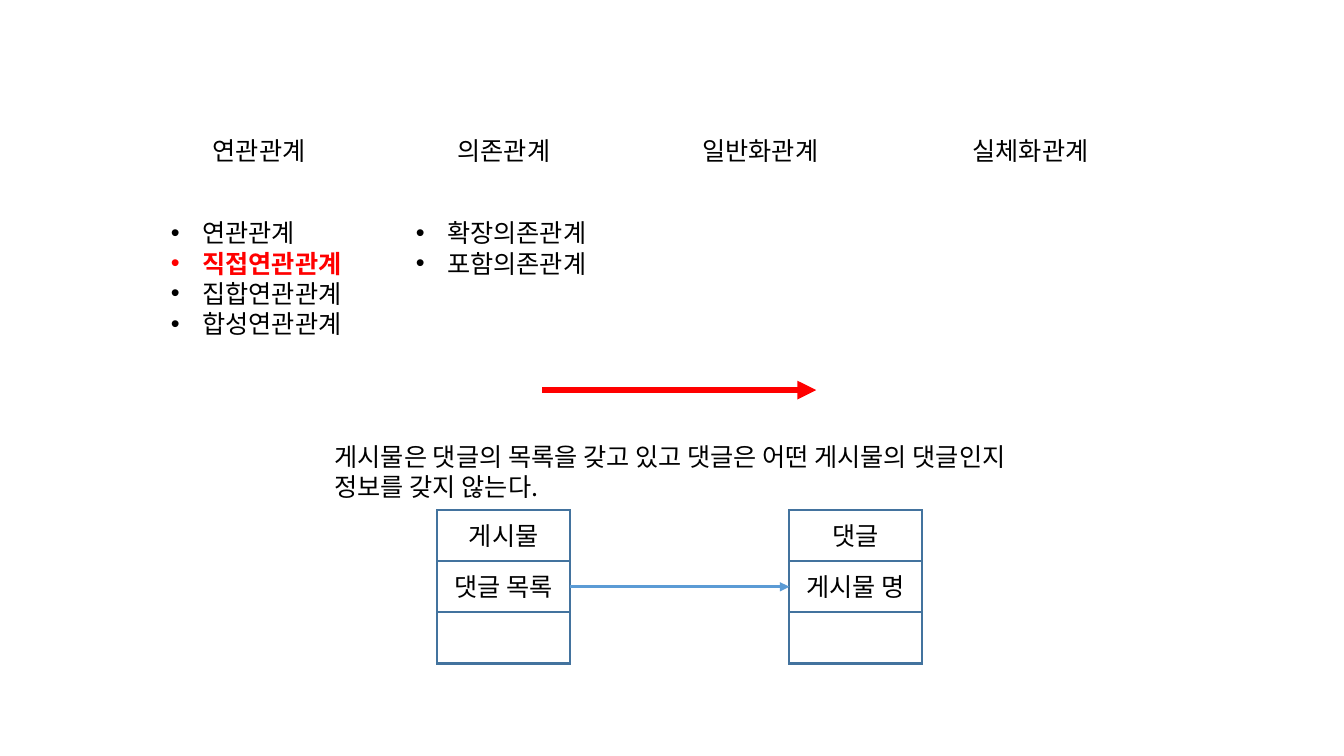
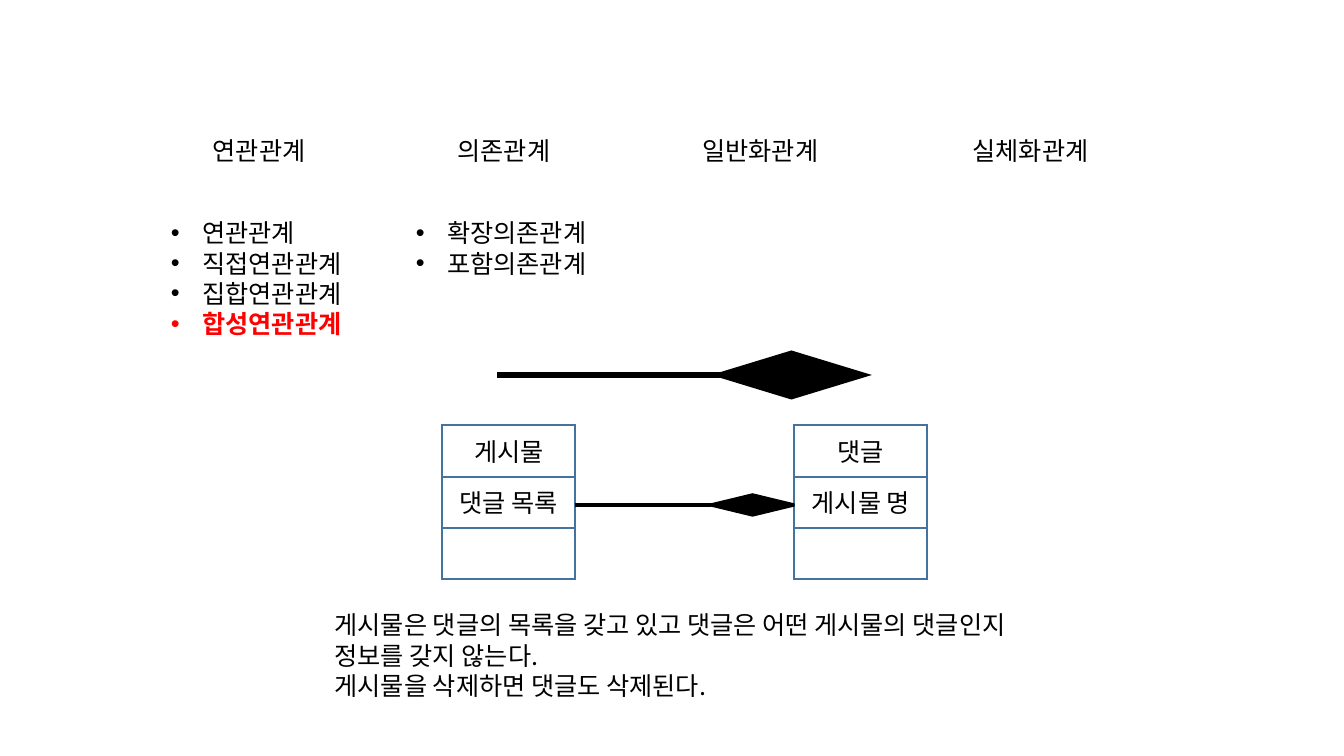
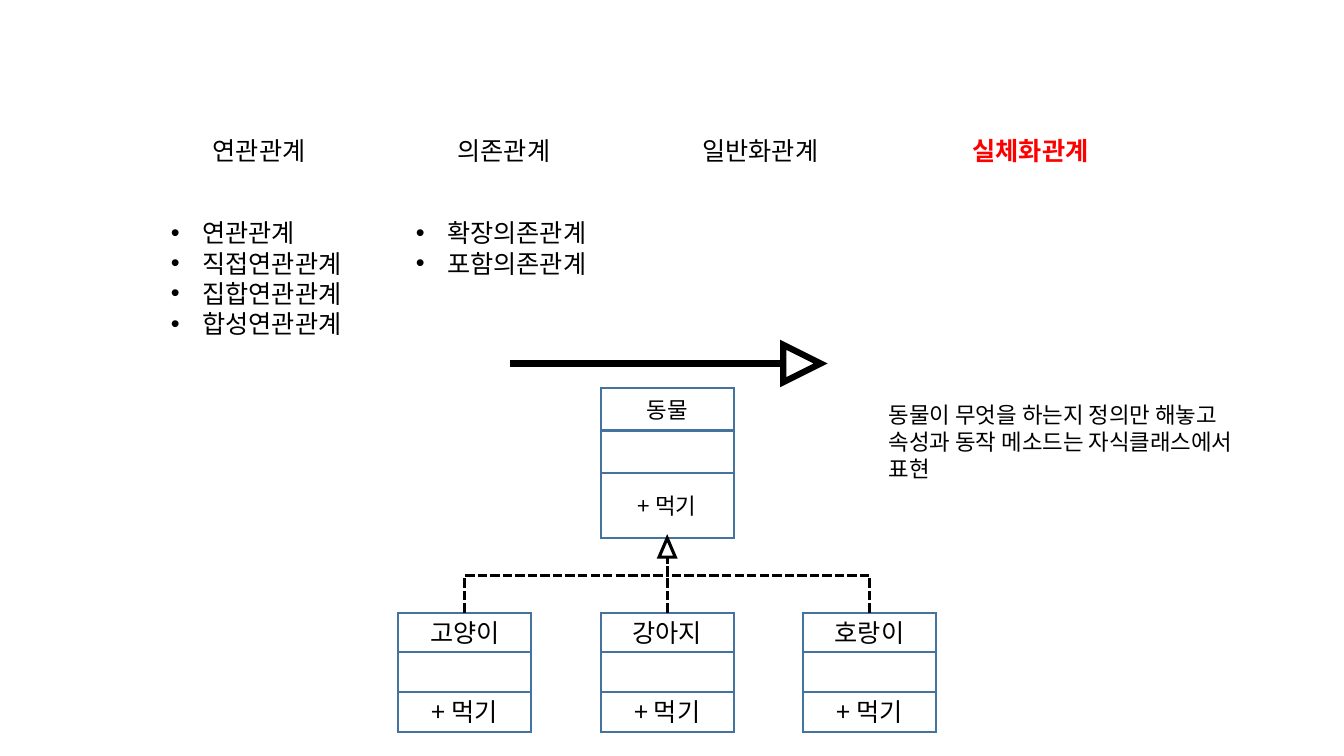
from dataclasses import dataclass

from lxml import etree
from pptx import Presentation
from pptx.dml.color import RGBColor
from pptx.enum.dml import MSO_LINE
from pptx.enum.shapes import MSO_CONNECTOR, MSO_SHAPE
from pptx.enum.text import MSO_ANCHOR, MSO_AUTO_SIZE, PP_ALIGN
from pptx.oxml.ns import qn
from pptx.util import Cm, Pt

STRAIGHT, ELBOW = MSO_CONNECTOR.STRAIGHT, MSO_CONNECTOR.ELBOW
PROCESS = MSO_SHAPE.FLOWCHART_PROCESS
DIAMOND = MSO_SHAPE.DIAMOND
TRIANGLE = MSO_SHAPE.ISOSCELES_TRIANGLE
DASHED = MSO_LINE.SQUARE_DOT
MIDDLE, CENTER = MSO_ANCHOR.MIDDLE, PP_ALIGN.CENTER
FIT_SHAPE = MSO_AUTO_SIZE.SHAPE_TO_FIT_TEXT
BLANK_LAYOUT = 6


@dataclass(frozen=True)
class Theme:
    font: str = "Noto Sans CJK KR"
    body: int = 18
    small: int = 16
    ink: RGBColor = RGBColor(0, 0, 0)
    accent: RGBColor = RGBColor(0xFF, 0, 0)
    outline: RGBColor = RGBColor(0x43, 0x73, 0x9E)
    arrow: RGBColor = RGBColor(0x5B, 0x9B, 0xD5)
    paper: RGBColor = RGBColor(0xFF, 0xFF, 0xFF)
    box_line: float = 1.5
    thin: float = 2.25
    thick: float = 4.5


THEME = Theme()

# Shared header: label, left edge, width, sub-relations (all lengths in cm)
RELATIONS = [
    ("연관관계", 5.11, 3.07,
     ["연관관계", "직접연관관계", "집합연관관계", "합성연관관계"]),
    ("의존관계", 11.28, 3.07, ["확장의존관계", "포함의존관계"]),
    ("일반화관계", 17.45, 3.71, []),
    ("실체화관계", 24.26, 3.71, []),
]
HEADING_TOP, LIST_TOP = 3.28, 5.36
LIST_SHIFT, LIST_WIDTH, LIST_INDENT = -1.05, 5.16, 0.79
LINE_HEIGHT, TEXT_MARGIN = 0.76, 0.26

# Class boxes
CLASS_WIDTH, ROW_HEIGHT, PAIR_STEP = 3.35, 1.29, 8.87
POST, COMMENT = ["게시물", "댓글 목록", ""], ["댓글", "게시물 명", ""]
OWNERSHIP = ["게시물은 댓글의 목록을 갖고 있고 댓글은 어떤 게시물의 댓글인지",
             "정보를 갖지 않는다."]


# Basic parts
def style_text(frame, size, marked=None):
    for para in frame.paragraphs:
        for span in para.runs:
            hit = span.text == marked
            span.font.name = THEME.font
            span.font.size = Pt(size)
            span.font.bold = hit
            span.font.color.rgb = THEME.accent if hit else THEME.ink
            east_asian = etree.SubElement(span.font._element, qn("a:ea"))
            east_asian.set("typeface", THEME.font)


def add_text(page, left, top, width, lines, size=THEME.body, marked=None):
    height = len(lines) * LINE_HEIGHT * size / THEME.body + TEXT_MARGIN
    box = page.shapes.add_textbox(Cm(left), Cm(top), Cm(width), Cm(height))
    frame = box.text_frame
    frame.word_wrap = False
    frame.auto_size = FIT_SHAPE
    frame.text = "\n".join(lines)
    style_text(frame, size, marked)
    return frame


def add_bullets(frame):
    for para in frame.paragraphs:
        props = para._p.get_or_add_pPr()
        props.set("marL", str(Cm(LIST_INDENT)))
        props.set("indent", str(-Cm(LIST_INDENT)))
        etree.SubElement(props, qn("a:buFont")).set("typeface", "Arial")
        etree.SubElement(props, qn("a:buChar")).set("char", "•")


def style_line(line, color, weight):
    line.color.rgb = color
    line.width = Pt(weight)
    etree.SubElement(line._get_or_add_ln(), qn("a:miter")).set("lim", "800000")


def add_block(page, kind, left, top, width, height, color, weight, fill=None):
    block = page.shapes.add_shape(kind, Cm(left), Cm(top), Cm(width), Cm(height))
    block.shadow.inherit = False
    if fill is None:
        block.fill.background()
    else:
        block.fill.solid()
        block.fill.fore_color.rgb = fill
    style_line(block.line, color, weight)
    return block


def add_line(page, start, end, color, weight, arrow=False, dashed=False,
             kind=STRAIGHT):
    line = page.shapes.add_connector(kind, *map(Cm, start + end))
    style_line(line.line, color, weight)
    if dashed:
        line.line.dash_style = DASHED
    if arrow:
        tail = etree.SubElement(line.line._get_or_add_ln(), qn("a:tailEnd"))
        tail.set("type", "triangle")
    etree.SubElement(line.element.spPr, qn("a:effectLst"))
    return line


def add_upward_elbow(page, start, end):
    """Elbow that leaves and arrives vertically: a turned horizontal elbow."""
    middle_x, middle_y = (start[0] + end[0]) / 2, (start[1] + end[1]) / 2
    side = 1 if start[0] < end[0] else -1
    half_run = side * (start[1] - end[1]) / 2
    half_rise = abs(end[0] - start[0]) / 2
    elbow = add_line(page, (middle_x + half_run, middle_y + half_rise),
                     (middle_x - half_run, middle_y - half_rise),
                     THEME.ink, THEME.thin, arrow=True, dashed=True, kind=ELBOW)
    angle = 90 if side == 1 else 270
    elbow.element.spPr.find(qn("a:xfrm")).set("rot", str(angle * 60000))


# Regions
def add_header(page, marked):
    for label, left, width, items in RELATIONS:
        add_text(page, left, HEADING_TOP, width, [label],
                 marked=marked if not items else None)
        if items:
            add_bullets(add_text(page, left + LIST_SHIFT, LIST_TOP, LIST_WIDTH,
                                 items, marked=marked))


def add_class(page, left, top, rows, heights, size=THEME.body):
    for label, height in zip(rows, heights):
        cell = add_block(page, PROCESS, left, top, CLASS_WIDTH, height,
                         THEME.outline, THEME.box_line)
        if label:
            frame = cell.text_frame
            frame.text = label
            frame.vertical_anchor = MIDDLE
            frame.paragraphs[0].alignment = CENTER
            style_text(frame, size)
        top += height


def add_class_pair(page, left, top):
    """Draws both classes; returns the ends of the gap and its mid height."""
    for index, rows in enumerate((POST, COMMENT)):
        add_class(page, left + index * PAIR_STEP, top, rows, [ROW_HEIGHT] * 3)
    return left + CLASS_WIDTH, left + PAIR_STEP, top + 1.5 * ROW_HEIGHT


def add_composition(page, left, right, middle, tip_width, tip_height, weight):
    joint = right - tip_width
    add_line(page, (left, middle), (joint, middle), THEME.ink, weight)
    add_block(page, DIAMOND, joint, middle - tip_height / 2, tip_width,
              tip_height, THEME.ink, weight, THEME.ink)


def add_realization(page, left, right, middle, tip):
    joint = right - tip
    add_line(page, (left, middle), (joint, middle), THEME.ink, THEME.thick)
    head = add_block(page, TRIANGLE, joint, middle - tip / 2, tip, tip,
                     THEME.ink, THEME.thick)
    head.rotation = 90


def add_family(page, left, top, child_top, child_step):
    parent_rows = [1.07, 1.08, 1.63]
    bottom, center = top + sum(parent_rows), left + CLASS_WIDTH / 2
    add_class(page, left, top, ["동물", "", "+ 먹기"], parent_rows, THEME.small)
    for offset, name in zip((-1, 0, 1), ("고양이", "강아지", "호랑이")):
        shift = offset * child_step
        add_class(page, left + shift, child_top, [name, "", "+ 먹기"], [1] * 3)
        start, end = (center + shift, child_top), (center, bottom)
        if shift:
            add_upward_elbow(page, start, end)
        else:
            add_line(page, start, end, THEME.ink, THEME.thin, arrow=True,
                     dashed=True)
    tip_width, tip_height = 0.41, 0.48
    add_block(page, TRIANGLE, center - tip_width / 2, bottom, tip_width,
              tip_height, THEME.ink, THEME.thin, THEME.paper)


# Slides
def build_direct(page):
    add_header(page, "직접연관관계")
    left, right, middle = add_class_pair(page, 11.02, 12.85)
    add_text(page, 8.18, 11, 19.63, OWNERSHIP)
    add_line(page, (left, middle), (right, middle), THEME.arrow, THEME.thin,
             arrow=True)
    add_line(page, (13.67, 9.83), (20.57, 9.83), THEME.accent, THEME.thick,
             arrow=True)


def build_composite(page):
    add_header(page, "합성연관관계")
    left, right, middle = add_class_pair(page, 11.15, 10.72)
    add_text(page, 8.18, 15.24, 19.63,
             OWNERSHIP + ["게시물을 삭제하면 댓글도 삭제된다."])
    add_composition(page, 12.52, 21.7, 9.45, 3.51, 1.07, THEME.thick)
    add_composition(page, left, right, middle + 0.07, 2.11, 0.51, THEME.thin)


def build_realization(page):
    add_header(page, "실체화관계")
    add_realization(page, 12.85, 20.68, 9.16, 0.94)
    add_text(page, 22.15, 9.98, 10.24,
             ["동물이 무엇을 하는지 정의만 해놓고",
              "속성과 동작 메소드는 자식클래스에서", "표현"], THEME.small)
    add_family(page, 15.14, 9.78, 15.44, 5.1)


deck = Presentation()
deck.slide_width, deck.slide_height = Cm(33.87), Cm(19.05)
for build in (build_direct, build_composite, build_realization):
    build(deck.slides.add_slide(deck.slide_layouts[BLANK_LAYOUT]))
deck.save("out.pptx")
